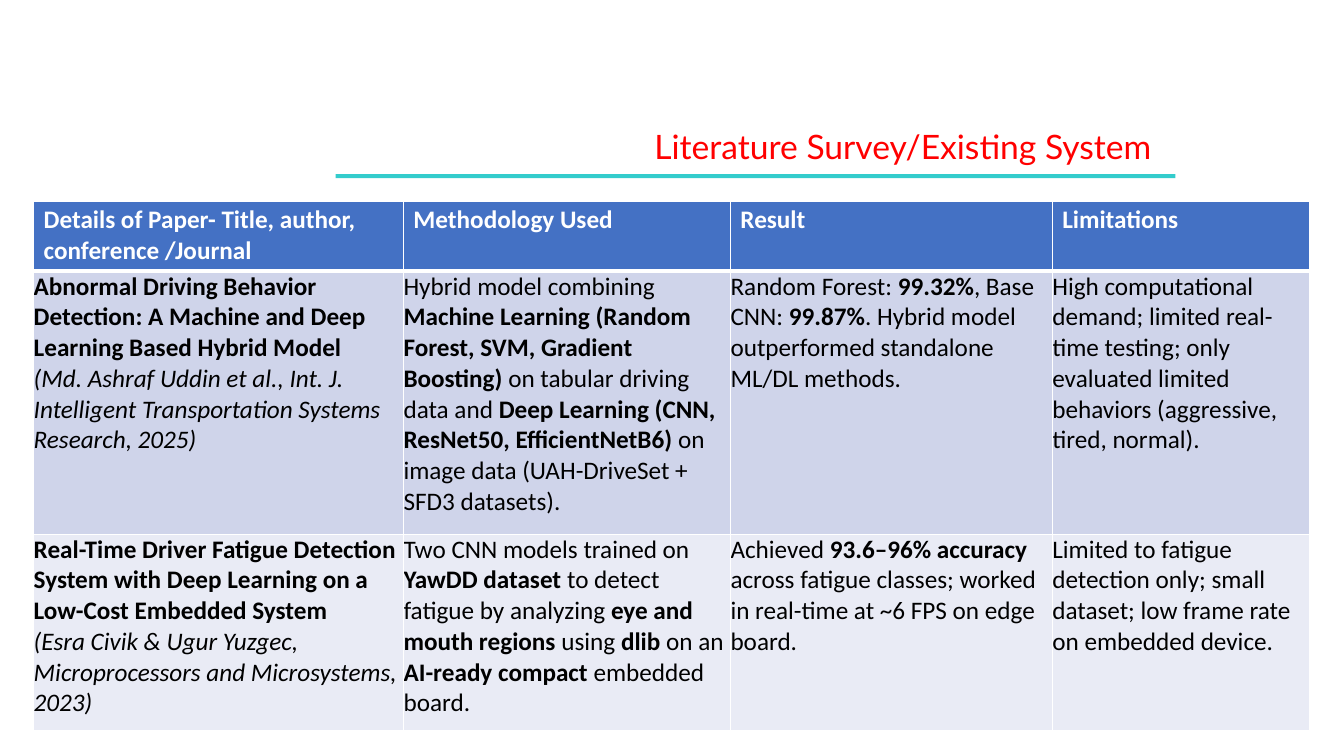
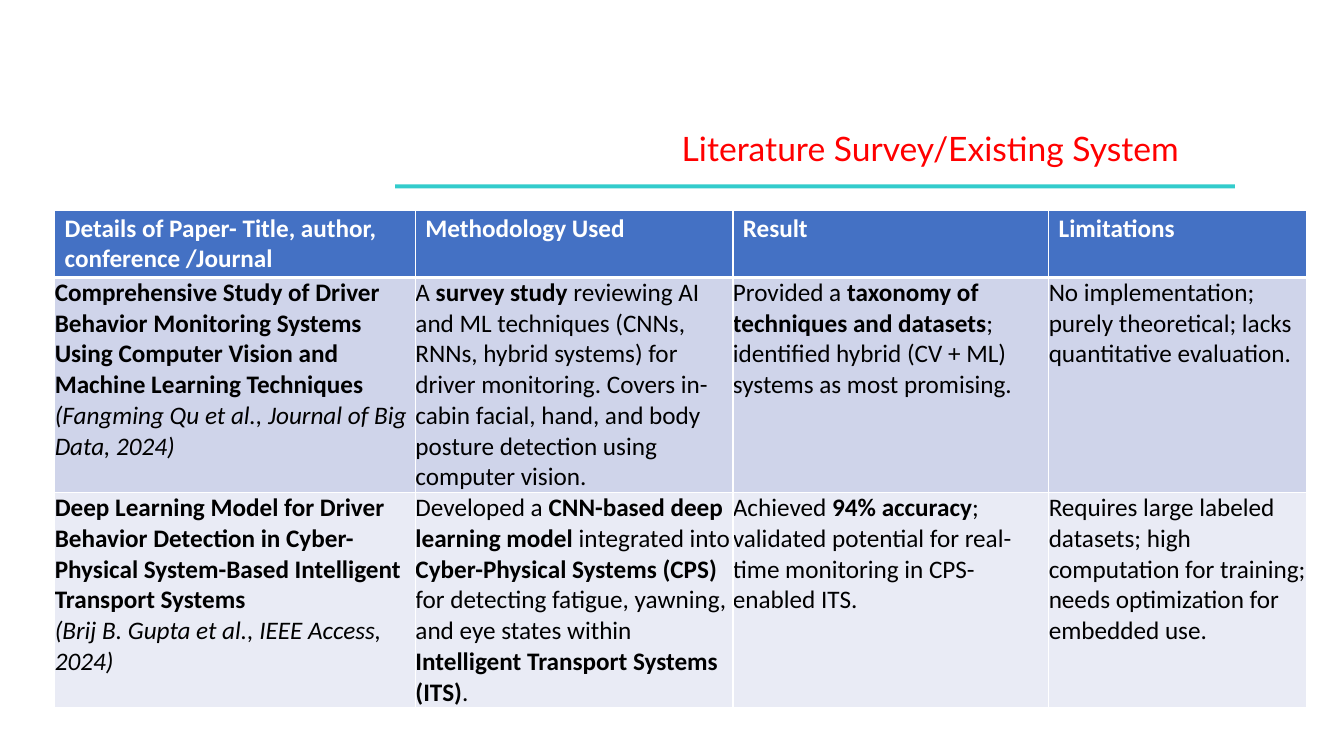
from dataclasses import dataclass

from lxml import etree
from pptx import Presentation
from pptx.dml.color import RGBColor
from pptx.enum.shapes import MSO_SHAPE
from pptx.enum.text import MSO_ANCHOR, MSO_AUTO_SIZE, PP_ALIGN
from pptx.oxml.ns import qn
from pptx.util import Cm, Pt

RECTANGLE = MSO_SHAPE.RECTANGLE
TOP = MSO_ANCHOR.TOP
FIT_SHAPE = MSO_AUTO_SIZE.SHAPE_TO_FIT_TEXT
LEFT = PP_ALIGN.LEFT
TITLE_ONLY = 5


@dataclass(frozen=True)
class Theme:
    title_font: str = "Lato"
    body_font: str = "Calibri"
    title_size: int = 24
    table_size: int = 18
    title_color: str = "FF0000"
    rule_color: str = "33CCCC"
    header_fill: str = "4471C4"
    header_text: str = "FFFFFF"
    body_text: str = "000000"
    body_fills: tuple = ("CFD4EA", "E9EBF5")
    border_color: str = "FFFFFF"
    thin_border: int = 1
    thick_border: int = 3


THEME = Theme()
TITLE = "Literature Survey/Existing System"
HEADERS = (
    "Details of Paper- Title, author, conference /Journal",
    "Methodology Used",
    "Result",
    "Limitations",
)

# Slide contents: lengths in centimetres, ** around bold words.
# Each paper is title, citation, methodology, result, limitations.
SURVEYS = (
    {
        "title_at": (16.46, 3.15),
        "rule_at": (8.46, 4.39),
        "table_at": (0.85, 5.08),
        "columns": (9.32, 8.24, 8.11, 6.49),
        "rows": (1.75, 6.63, 4.95),
        "papers": (
            ("Abnormal Driving Behavior Detection: A Machine and Deep Learning "
             "Based Hybrid Model",
             "(Md. Ashraf Uddin et al., Int. J. Intelligent Transportation Systems "
             "Research, 2025)",
             "Hybrid model combining **Machine Learning (Random Forest, SVM, "
             "Gradient Boosting)** on tabular driving data and **Deep Learning "
             "(CNN, ResNet50, EfficientNetB6)** on image data (UAH-DriveSet + "
             "SFD3 datasets).",
             "Random Forest: **99.32%**, Base CNN: **99.87%**. Hybrid model "
             "outperformed standalone ML/DL methods.",
             "High computational demand; limited real-time testing; only "
             "evaluated limited behaviors (aggressive, tired, normal)."),
            ("Real-Time Driver Fatigue Detection System with Deep Learning on a "
             "Low-Cost Embedded System",
             "(Esra Civik & Ugur Yuzgec, Microprocessors and Microsystems, 2023)",
             "Two CNN models trained on **YawDD dataset** to detect fatigue by "
             "analyzing **eye and mouth regions** using **dlib** on an "
             "**AI-ready compact** embedded board.",
             "Achieved **93.6–96% accuracy** across fatigue classes; worked in "
             "real-time at ~6 FPS on edge board.",
             "Limited to fatigue detection only; small dataset; low frame rate "
             "on embedded device."),
        ),
    },
    {
        "title_at": (17.15, 3.18),
        "rule_at": (9.96, 4.65),
        "table_at": (1.38, 5.29),
        "columns": (9.09, 8.0, 7.96, 6.5),
        "rows": (1.7, 5.42, 5.42),
        "papers": (
            ("Comprehensive Study of Driver Behavior Monitoring Systems Using "
             "Computer Vision and Machine Learning Techniques",
             "(Fangming Qu et al., Journal of Big Data, 2024)",
             "A **survey study** reviewing AI and ML techniques (CNNs, RNNs, "
             "hybrid systems) for driver monitoring. Covers in-cabin facial, "
             "hand, and body posture detection using computer vision.",
             "Provided a **taxonomy of techniques and datasets**; identified "
             "hybrid (CV + ML) systems as most promising.",
             "No implementation; purely theoretical; lacks quantitative "
             "evaluation."),
            ("Deep Learning Model for Driver Behavior Detection in "
             "Cyber-Physical System-Based Intelligent Transport Systems",
             "(Brij B. Gupta et al., IEEE Access, 2024)",
             "Developed a **CNN-based deep learning model** integrated into "
             "**Cyber-Physical Systems (CPS)** for detecting fatigue, yawning, "
             "and eye states within **Intelligent Transport Systems (ITS)**.",
             "Achieved **94% accuracy**; validated potential for real-time "
             "monitoring in CPS-enabled ITS.",
             "Requires large labeled datasets; high computation for training; "
             "needs optimization for embedded use."),
        ),
    },
)


# Text
def add_span(para, text, font, size, color, bold=False, italic=False):
    span = para.add_run()
    span.text = text
    span.font.name = font
    span.font.size = Pt(size)
    span.font.color.rgb = RGBColor.from_string(color)
    span.font.bold = bold
    span.font.italic = italic


def add_table_span(para, text, color=THEME.body_text, **style):
    add_span(para, text, THEME.body_font, THEME.table_size, color, **style)


def add_marked_text(para, text):
    for index, part in enumerate(text.split("**")):
        if part:
            add_table_span(para, part, bold=index % 2 == 1)


# Title and the rule below it
def add_title(page, left, top):
    box = page.shapes.title
    box.left, box.top, box.width, box.height = Cm(left), Cm(top), Cm(12.95), Cm(1.19)
    frame = box.text_frame
    frame.margin_left = Cm(0.03)
    frame.margin_right = frame.margin_bottom = 0
    frame.margin_top = Cm(0.03)
    frame.vertical_anchor = TOP
    frame.word_wrap = True
    frame.auto_size = FIT_SHAPE
    para = frame.paragraphs[0]
    para.alignment = LEFT
    add_span(para, TITLE, THEME.title_font, THEME.title_size, THEME.title_color)


def add_rule(page, left, top):
    rule = page.shapes.add_shape(RECTANGLE, Cm(left), Cm(top), Cm(21.16), Cm(0.1))
    rule.shadow.inherit = False
    rule.fill.solid()
    rule.fill.fore_color.rgb = RGBColor.from_string(THEME.rule_color)
    rule.line.fill.background()


# Table
def set_borders(cell, top, bottom):
    properties = cell._tc.get_or_add_tcPr()
    widths = {"lnL": THEME.thin_border, "lnR": THEME.thin_border,
              "lnT": top, "lnB": bottom}
    for index, (side, width) in enumerate(widths.items()):
        line = etree.Element(qn(f"a:{side}"), w=str(Pt(width)))
        fill = etree.SubElement(line, qn("a:solidFill"))
        etree.SubElement(fill, qn("a:srgbClr"), val=THEME.border_color)
        properties.insert(index, line)


def style_cell(cell, row):
    is_header = row == 0
    fill = THEME.header_fill if is_header else THEME.body_fills[row - 1]
    cell.fill.solid()
    cell.fill.fore_color.rgb = RGBColor.from_string(fill)
    cell.margin_left = Cm(0.25 if is_header else 0)
    cell.margin_top = Cm(0.08 if is_header else 0)
    cell.margin_right = cell.margin_bottom = 0
    cell.vertical_anchor = TOP
    set_borders(cell,
                THEME.thick_border if row == 1 else THEME.thin_border,
                THEME.thick_border if is_header else THEME.thin_border)


def fill_paper_row(cells, paper):
    title, citation, *findings = paper
    para = cells[0].text_frame.paragraphs[0]
    add_table_span(para, title, bold=True)
    para.add_line_break()
    add_table_span(para, citation, italic=True)
    for cell, text in zip(cells[1:], findings):
        add_marked_text(cell.text_frame.paragraphs[0], text)


def add_survey_table(page, left, top, columns, rows, papers):
    table = page.shapes.add_table(
        len(rows), len(columns), Cm(left), Cm(top),
        Cm(sum(columns)), Cm(sum(rows))).table
    table.horz_banding = False
    for column, width in zip(table.columns, columns):
        column.width = Cm(width)
    for index, height in enumerate(rows):
        table.rows[index].height = Cm(height)
        cells = list(table.rows[index].cells)
        for cell in cells:
            style_cell(cell, index)
        if index > 0:
            fill_paper_row(cells, papers[index - 1])
            continue
        for cell, header in zip(cells, HEADERS):
            add_table_span(cell.text_frame.paragraphs[0], header,
                           THEME.header_text, bold=True)


def main():
    deck = Presentation()
    deck.slide_width, deck.slide_height = Cm(33.87), Cm(19.05)
    for survey in SURVEYS:
        page = deck.slides.add_slide(deck.slide_layouts[TITLE_ONLY])
        add_title(page, *survey["title_at"])
        add_rule(page, *survey["rule_at"])
        add_survey_table(page, *survey["table_at"], survey["columns"],
                         survey["rows"], survey["papers"])
    deck.save("out.pptx")


if __name__ == "__main__":
    main()
